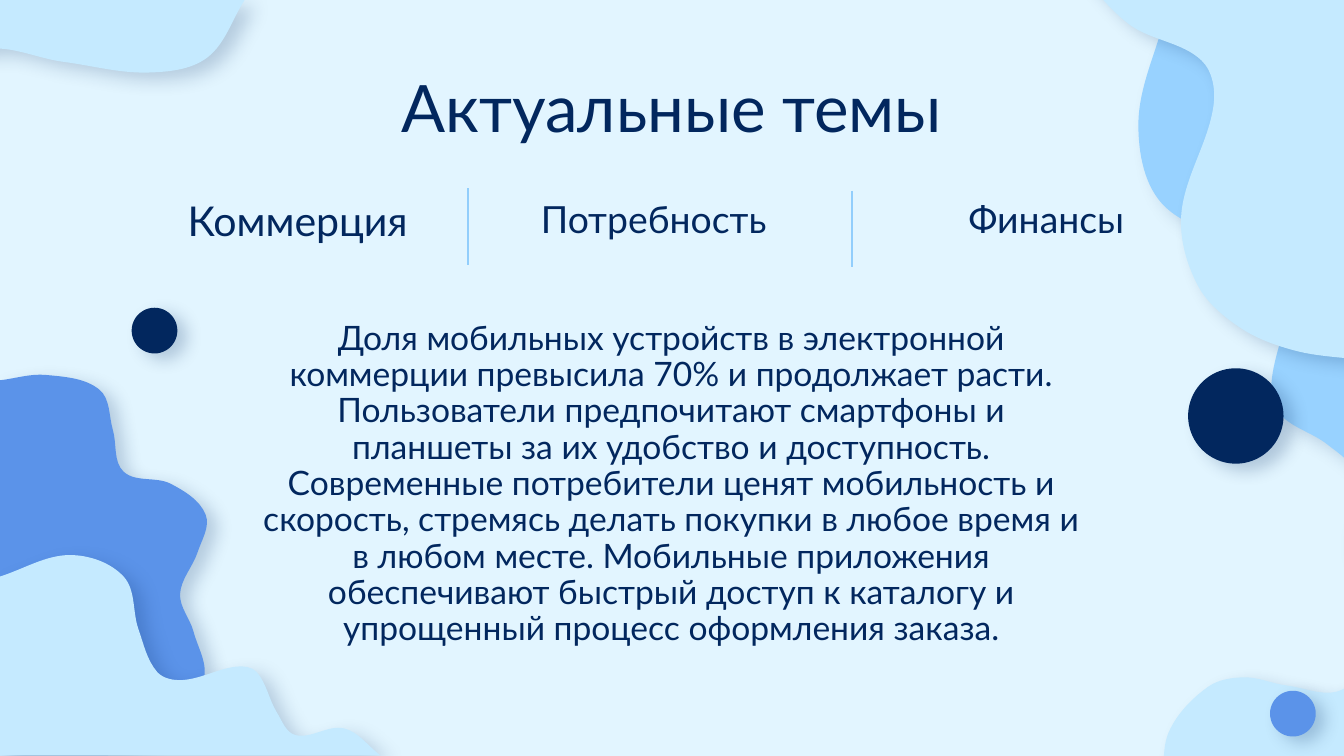
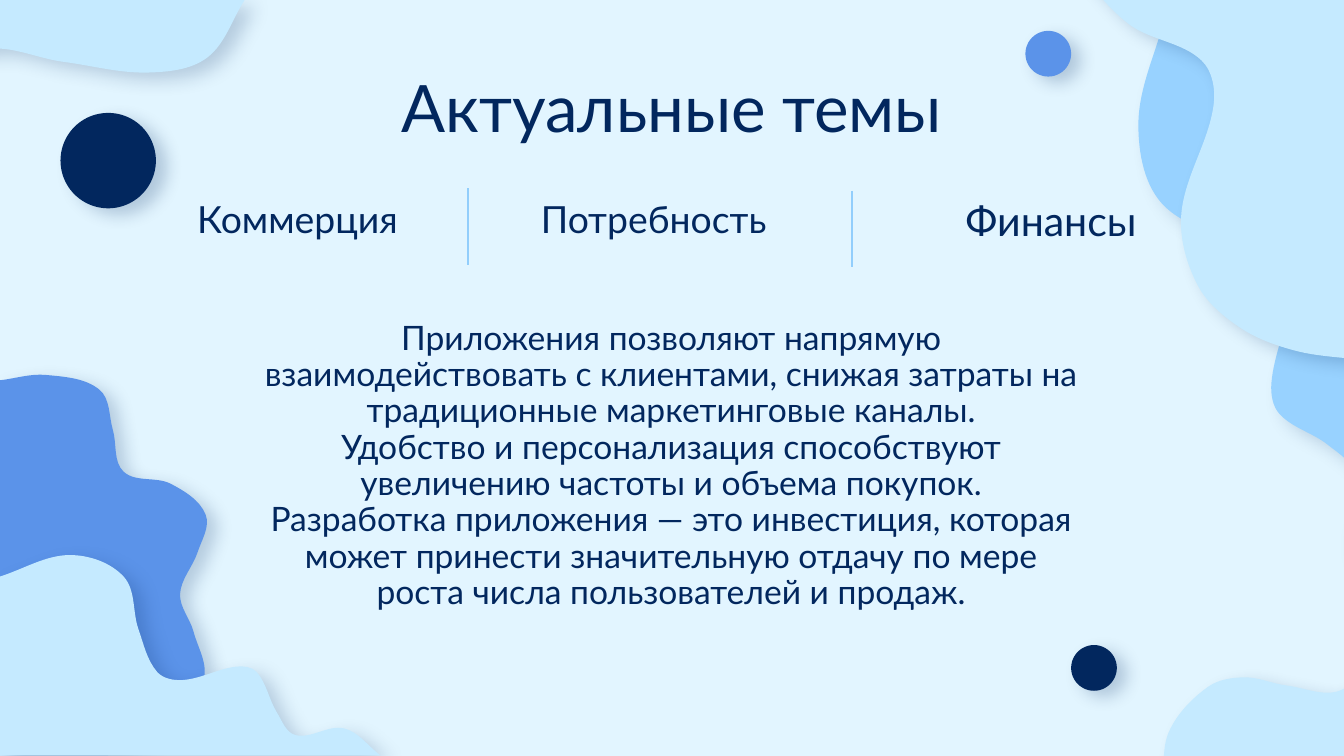
from math import dist

from lxml.etree import SubElement
from pptx import Presentation
from pptx.dml.color import RGBColor
from pptx.enum.shapes import MSO_CONNECTOR as Connector, MSO_SHAPE as Shape
from pptx.enum.text import MSO_ANCHOR as Anchor, MSO_AUTO_SIZE as AutoSize, PP_ALIGN as Align
from pptx.oxml.ns import qn
from pptx.util import Inches, Pt

# Shared look
FONT = "Lato"
NAVY, BLUE, SKY, PALE = "02275E", "5B93E9", "98D2FF", "C5EAFF"
BACKGROUND, DIVIDER = "E2F5FF", "92CEFC"
SMALL_DOT, BIG_DOT = 0.34, 0.71
NEAR_SHADOW = dict(blur=9, distance=6, angle=33)
FAR_SHADOW = dict(blur=10.1, distance=6.8, angle=34)

# Content
TITLE = "Актуальные темы"
TITLE_BOX = (0.78, 0.49, 8.44, 0.69)
BODY_BOX = (1.83, 2.29, 6.33, 2.77)
TAB_TOP, TAB_WIDTH, TAB_HEIGHT = 1.4, 1.93, 0.46
TABS = {"Коммерция": 1.25, "Потребность": 3.9, "Финансы": 6.82}  # name: left
WIDE_TAB = (6.7, 2.24)  # left and width of the last tab when active
DIVIDERS = [(3.48, 1.4), (6.34, 1.42)]  # x, top
DIVIDER_HEIGHT = 0.57

SLIDES = [
    dict(
        active="Коммерция",
        body=[
            "Доля мобильных устройств в электронной коммерции превысила 70% и продолжает расти. "
            "Пользователи предпочитают смартфоны и планшеты за их удобство и доступность.",
            "Современные потребители ценят мобильность и скорость, стремясь делать покупки в любое "
            "время и в любом месте. Мобильные приложения обеспечивают быстрый доступ к каталогу и "
            "упрощенный процесс оформления заказа.",
        ],
        dots=[
            (0.98, 2.29, SMALL_DOT, NAVY),
            (8.84, 2.74, BIG_DOT, NAVY),
            (9.45, 5.14, SMALL_DOT, BLUE),
        ],
    ),
    dict(
        active="Финансы",
        body=[
            "Приложения позволяют напрямую взаимодействовать с клиентами, снижая затраты на "
            "традиционные маркетинговые каналы.",
            "Удобство и персонализация способствуют увеличению частоты и объема покупок.",
            "Разработка приложения — это инвестиция, которая может принести значительную отдачу "
            "по мере роста числа пользователей и продаж.",
        ],
        dots=[
            (7.97, 4.8, SMALL_DOT, NAVY),
            (0.45, 0.84, BIG_DOT, NAVY),
            (7.63, 0.23, SMALL_DOT, BLUE),
        ],
    ),
]

# Blobs: fill, shadow, knots of the smooth edge, closing corner
BLOBS = [
    # right edge, behind
    (SKY, FAR_SHADOW, [
        (10.26, 4.5), (10.02, 4.08), (10.08, 3.53), (9.88, 3.31), (9.52, 3.08), (9.46, 2.85),
        (9.59, 2.23), (9.52, 1.93), (8.67, 1.54), (8.47, 0.93), (8.67, 0.12),
    ], (10.26, 0.12)),
    # top right
    (PALE, NEAR_SHADOW, [
        (7.95, -0.3), (8.4, 0.18), (8.94, 0.45), (9.03, 0.78), (8.79, 1.59), (8.91, 2.12),
        (9.23, 2.44), (9.64, 2.61), (10.14, 2.68),
    ], (10.14, -0.3)),
    # top left
    (PALE, FAR_SHADOW, [
        (-5.26, 0.97), (-4.81, 1.09), (-3.87, 0.83), (-2.07, 1.52), (-1.17, 0.99),
        (-0.16, 0.38), (0.47, 0.46), (1.1, 0.54), (1.54, 0.43), (1.82, 0),
    ], (-5.26, 0)),
    # left edge
    (BLUE, NEAR_SHADOW, [
        (0.8, 5.62), (1.13, 5.48), (1.51, 5.07), (1.44, 4.7), (1.34, 4.42), (1.47, 4.11),
        (1.53, 3.83), (1.27, 3.6), (0.92, 3.51), (0.84, 3.2), (0.74, 2.9), (0.34, 2.79),
        (0, 2.83),
    ], (0, 5.62)),
    # bottom left
    (PALE, FAR_SHADOW, [
        (2.83, 5.62), (2.56, 5.42), (2.2, 5.47), (2.06, 5.3), (1.91, 5), (1.76, 4.96),
        (1.36, 5.06), (1.17, 5), (1.03, 4.68), (0.92, 4.29), (0.52, 4.13), (0, 4.29),
    ], (0, 5.62)),
    # bottom right
    (PALE, NEAR_SHADOW, [
        (10.44, 4.54), (10.15, 4.81), (9.99, 5.13), (9.57, 5.1), (9.26, 5.04), (8.99, 5.11),
        (8.7, 5.44), (8.65, 5.85),
    ], (10.44, 5.85)),
]


def color(value):
    return RGBColor.from_string(value)


def paint(shape, fill, blur, distance, angle, opacity=20):
    """Flat fill, no outline, soft navy shadow."""
    shape.fill.solid()
    shape.fill.fore_color.rgb = color(fill)
    shape.line.fill.background()
    shape.shadow.inherit = False
    effects = shape.element.spPr.find(qn("a:effectLst"))
    shadow = SubElement(effects, qn("a:outerShdw"), blurRad=str(Pt(blur)), dist=str(Pt(distance)),
                        dir=str(angle * 60000), algn="bl", rotWithShape="0")
    tint = SubElement(shadow, qn("a:srgbClr"), val=NAVY)
    SubElement(tint, qn("a:alpha"), val=str(opacity * 1000))


def smooth_points(knots):
    """Two handles and an end for each gap; a handle is a third of the gap long."""
    padded = [knots[0], *knots, knots[-1]]
    tangents = []
    for before, after in zip(padded, padded[2:]):
        length = dist(before, after)
        tangents.append([(b - a) / length for a, b in zip(before, after)])
    points = []
    for index, (start, end) in enumerate(zip(knots, knots[1:])):
        reach = dist(start, end) / 3
        leave, arrive = tangents[index:index + 2]
        points.append([value + reach * slope for value, slope in zip(start, leave)])
        points.append([value - reach * slope for value, slope in zip(end, arrive)])
        points.append(end)
    return points


def add_blob(slide, fill, shadow, knots, corner):
    points = smooth_points(knots) + [corner]
    builder = slide.shapes.build_freeform(*map(Inches, knots[0]))
    builder.add_line_segments([tuple(map(Inches, point)) for point in points], close=True)
    shape = builder.convert_to_shape()
    # Turn each run of three points into one curve; the corner stays a line
    segments = shape.element.findall(".//" + qn("a:lnTo"))[:-1]
    for nodes in zip(segments[::3], segments[1::3], segments[2::3]):
        curve = nodes[0].makeelement(qn("a:cubicBezTo"))
        nodes[0].addprevious(curve)
        for node in nodes:
            curve.append(node[0])
            node.getparent().remove(node)
    paint(shape, fill, **shadow)
    return shape


def write(shape, paragraphs, size, spacing=0.9):
    frame = shape.text_frame
    frame.word_wrap = True
    frame.auto_size = AutoSize.NONE
    frame.vertical_anchor = Anchor.TOP
    frame.margin_left = frame.margin_right = Inches(0.1)
    frame.margin_top = frame.margin_bottom = Inches(0.1)
    for index, text in enumerate(paragraphs):
        paragraph = frame.add_paragraph() if index else frame.paragraphs[0]
        paragraph.alignment = Align.CENTER
        paragraph.line_spacing = spacing
        paragraph.space_before = paragraph.space_after = Pt(0)
        run = paragraph.add_run()
        run.text = text
        run.font.name = FONT
        run.font.size = Pt(size)
        run.font.color.rgb = color(NAVY)


def add_text(slide, box, paragraphs, **style):
    write(slide.shapes.add_textbox(*map(Inches, box)), paragraphs, **style)


def add_divider(slide, x, top):
    ends = (x, top, x, top + DIVIDER_HEIGHT)
    line = slide.shapes.add_connector(Connector.STRAIGHT, *map(Inches, ends))
    line.line.color.rgb = color(DIVIDER)
    line.line.width = Pt(1)
    SubElement(line.element.spPr, qn("a:effectLst"))


def decorate_layout(layout, slide):
    """Build the blobs on a slide, then move them to the back of its layout."""
    layout.background.fill.solid()
    layout.background.fill.fore_color.rgb = color(BACKGROUND)
    for placeholder in list(layout.placeholders)[1:]:
        layout.shapes.element.remove(placeholder.element)
    blobs = [add_blob(slide, *blob) for blob in BLOBS]
    for index, blob in enumerate(blobs, start=2):
        layout.shapes.element.insert(index, blob.element)


def fill_slide(slide, active, body, dots):
    for left, top, size, fill in dots:
        dot = slide.shapes.add_shape(Shape.OVAL, *map(Inches, (left, top, size, size)))
        distance = FAR_SHADOW["distance"] if size == BIG_DOT else NEAR_SHADOW["distance"]
        paint(dot, fill, **{**NEAR_SHADOW, "distance": distance, "opacity": 21})

    title = slide.shapes.title
    title.left, title.top, title.width, title.height = map(Inches, TITLE_BOX)
    write(title, [TITLE], size=35, spacing=0.85)

    for name, left in TABS.items():
        width = TAB_WIDTH
        if name == active == list(TABS)[-1]:
            left, width = WIDE_TAB
        add_text(slide, (left, TAB_TOP, width, TAB_HEIGHT), [name],
                 size=22 if name == active else 20)
    for divider in DIVIDERS:
        add_divider(slide, *divider)
    add_text(slide, BODY_BOX, body, size=18)


def main():
    presentation = Presentation()
    presentation.slide_width = Inches(10)
    presentation.slide_height = Inches(10 * 9 / 16)
    layout = presentation.slide_layouts.get_by_name("Title Only")
    slides = [presentation.slides.add_slide(layout) for _ in SLIDES]
    decorate_layout(layout, slides[0])
    for slide, content in zip(slides, SLIDES):
        fill_slide(slide, **content)
    presentation.save("out.pptx")


if __name__ == "__main__":
    main()
